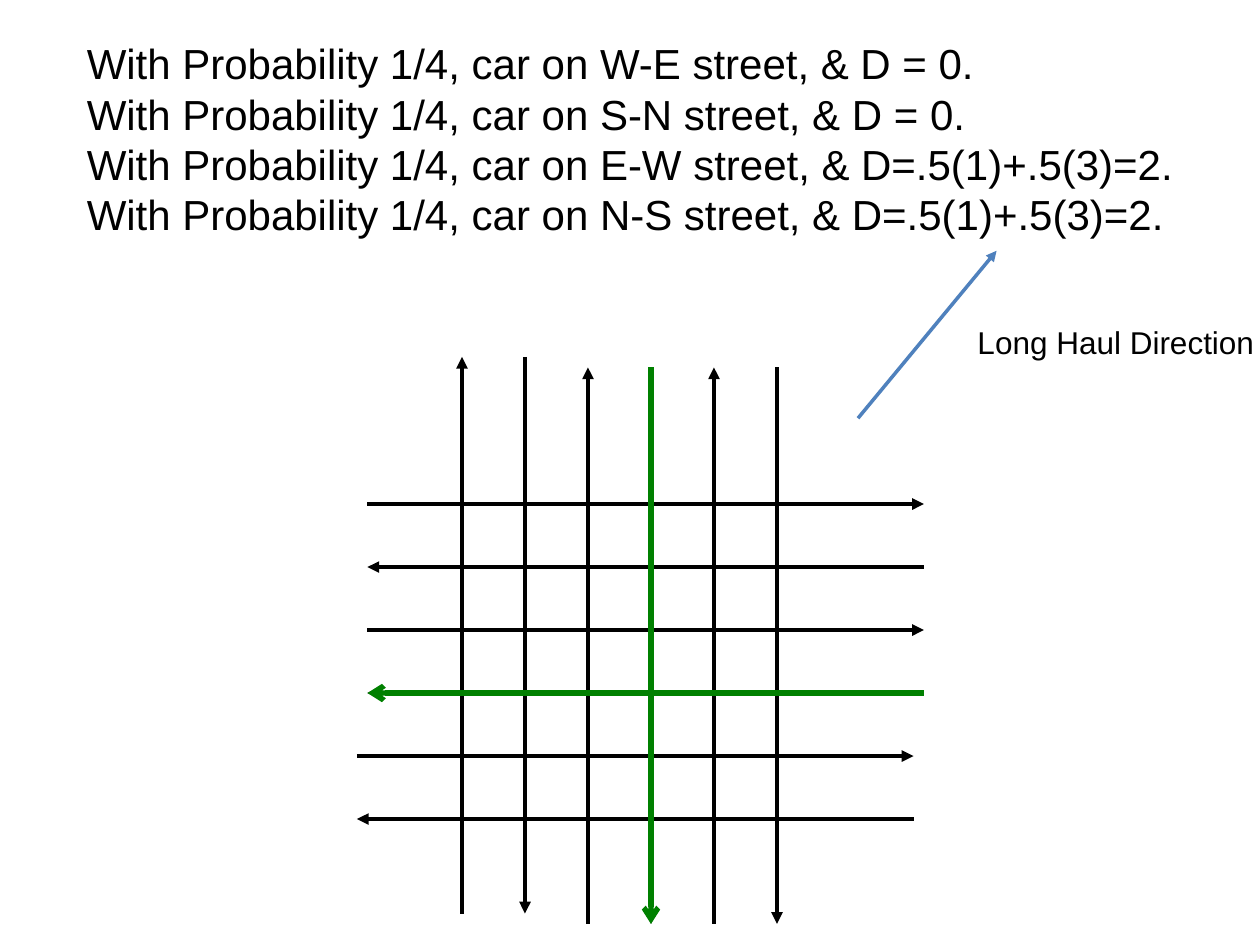
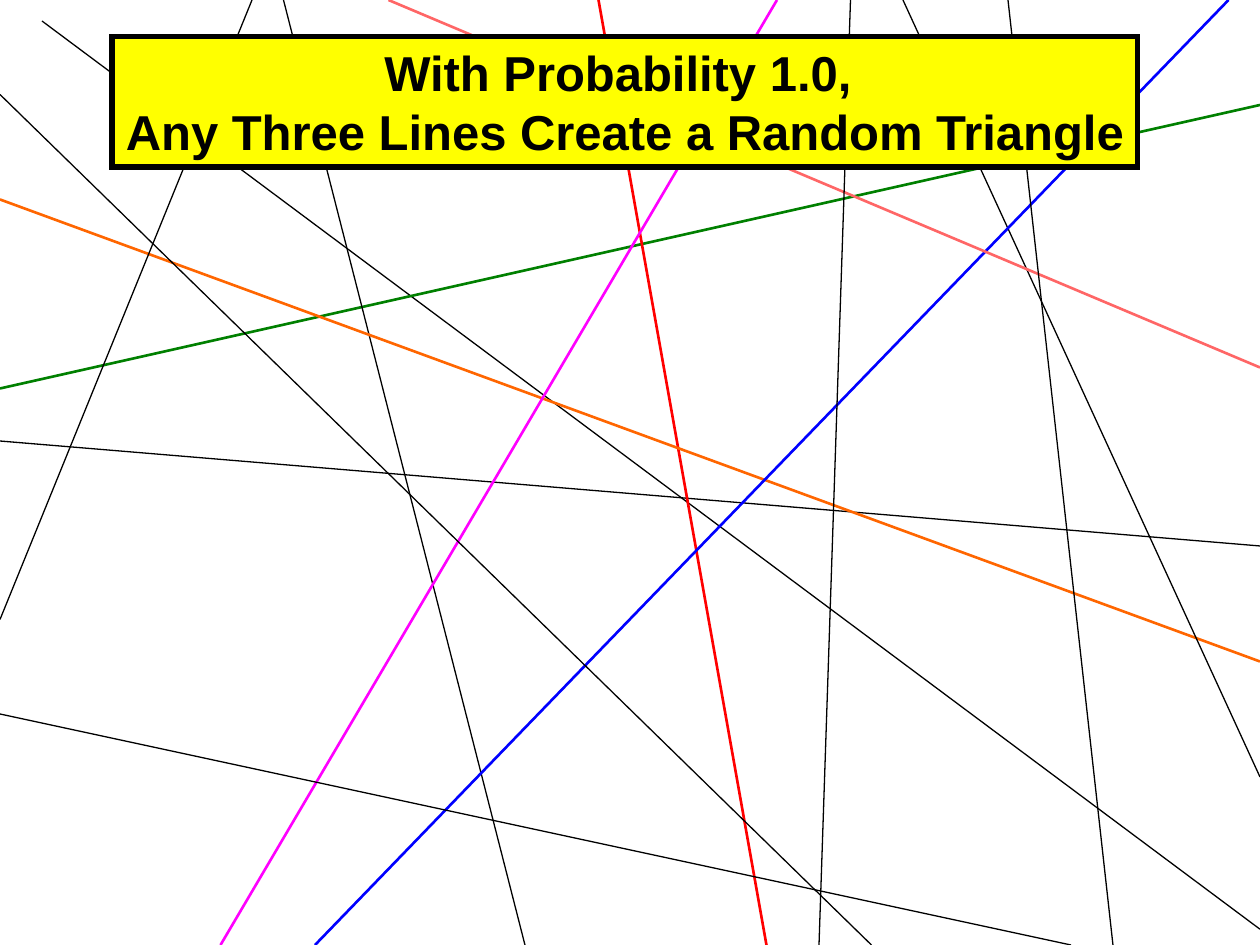
from pptx import Presentation
from pptx.dml.color import RGBColor
from pptx.enum.shapes import MSO_CONNECTOR, MSO_SHAPE
from pptx.enum.text import MSO_ANCHOR, PP_ALIGN
from pptx.oxml.ns import qn
from pptx.util import Pt
from lxml import etree

STRAIGHT = MSO_CONNECTOR.STRAIGHT
RECT = MSO_SHAPE.RECTANGLE
TOP = MSO_ANCHOR.TOP
LEFT, CENTER = PP_ALIGN.LEFT, PP_ALIGN.CENTER

FONT = "Arial"
HEX = {
    "black": "000000", "green": "008000", "steel": "4F81BD",
    "red": "FF0000", "orange": "FF6600", "blue": "0000FF",
    "pink": "FF00FF", "coral": "FF6666", "yellow": "FFFF00",
}

# Street grid
WIDE, STEP, COUNT = 318, 36, 6
COL_X, ROW_Y = 264, 288
NEAR, FAR = 204, 210

ODDS = [
    "With Probability 1/4, car on W-E street, & D = 0.",
    "With Probability 1/4, car on S-N street, & D = 0.",
    "With Probability 1/4, car on E-W street, & D=.5(1)+.5(3)=2.",
    "With Probability 1/4, car on N-S street, & D=.5(1)+.5(3)=2.",
]
TITLE = ["With Probability 1.0, ", "Any Three Lines Create a Random Triangle"]

# Random lines: start x, y, end x, y, colour
CHORDS = [
    (24, 12, 720, 531, "black"),
    (0, 222, 720, 60, "green"),
    (162, 0, 300, 540, "black"),
    (0, 252, 720, 312, "black"),
    (342, 0, 438, 540, "red"),
    (0, 114, 720, 378, "orange"),
    (516, 0, 720, 444, "black"),
    (702, 0, 180, 540, "blue"),
    (444, 0, 126, 540, "pink"),
    (0, 408, 612, 540, "black"),
    (0, 354, 144, 0, "black"),
    (720, 210, 222, 0, "coral"),
    (0, 54, 498, 540, "black"),
    (576, 0, 636, 540, "black"),
    (486, 0, 468, 540, "black"),
]


def color(name):
    return RGBColor.from_string(HEX[name])


def add_line(slide, start, end, hue, width, tip=None):
    """Draw a line, with an arrowhead at its end if tip is given."""
    line = slide.shapes.add_connector(
        STRAIGHT, *(Pt(v) for v in (*start, *end)))
    line.line.color.rgb = color(hue)
    line.line.width = Pt(width)
    props = line._element.spPr
    if tip:
        etree.SubElement(props.find(qn("a:ln")), qn("a:tailEnd"), type=tip)
    etree.SubElement(props, qn("a:effectLst"))


def fill_text(shape, lines, size, align=LEFT, bold=False):
    frame = shape.text_frame
    frame.vertical_anchor = TOP
    frame.text = "\n".join(lines)
    for par in frame.paragraphs:
        par.alignment = align
        par.line_spacing = Pt(size * 1.2)
        par.font.name = FONT
        par.font.size = Pt(size)
        par.font.bold = bold
        par.font.color.rgb = color("black")


def add_label(slide, box, lines, size):
    label = slide.shapes.add_textbox(*(Pt(v) for v in box))
    fill_text(label, lines, size)
    # The right inset is given up so that each line has room
    label.text_frame.margin_right = 0
    label.text_frame.word_wrap = True


def add_banner(slide, box, lines, size):
    banner = slide.shapes.add_shape(RECT, *(Pt(v) for v in box))
    banner.shadow.inherit = False
    banner.fill.solid()
    banner.fill.fore_color.rgb = color("yellow")
    banner.line.color.rgb = color("black")
    banner.line.width = Pt(3)
    # Square corners
    edge = banner._element.spPr.find(qn("a:ln"))
    etree.SubElement(edge, qn("a:miter"), lim="800000")
    fill_text(banner, lines, size, CENTER, True)
    banner.text_frame.word_wrap = False


def add_grid(slide):
    """Draw one-way streets whose directions alternate."""
    for i in range(COUNT):
        # The first two columns and last two rows are shifted
        x, top = COL_X + i * STEP, NEAR if i < 2 else FAR
        ends = [(x, top), (x, top + WIDE)]
        north = i % 2 == 0
        add_line(slide, *(ends[::-1] if north else ends),
                 "black", 2.25, "triangle")

        y, left = ROW_Y + i * STEP, NEAR if i >= COUNT - 2 else FAR
        ends = [(left, y), (left + WIDE, y)]
        east = i % 2 == 0
        add_line(slide, *(ends if east else ends[::-1]),
                 "black", 2.25, "triangle")


def build_streets(slide):
    add_grid(slide)
    add_label(slide, (42.5, 18, 660, 151), ODDS, 24)

    # Long haul streets
    row, col = ROW_Y + 3 * STEP, COL_X + 3 * STEP
    add_line(slide, (FAR + WIDE, row), (FAR, row), "green", 3, "arrow")
    add_line(slide, (col, FAR), (col, FAR + WIDE), "green", 3, "arrow")

    # Pointer and its label
    add_line(slide, (490.3, 239), (569.5, 143.3), "steel", 2, "triangle")
    add_label(slide, (551.5, 181, 168.5, 29), ["Long Haul Direction"], 18)


def build_lines(slide):
    for x1, y1, x2, y2, hue in CHORDS:
        width = 0.75 if hue == "black" else 1.5
        add_line(slide, (x1, y1), (x2, y2), hue, width)
    add_banner(slide, (64, 21, 586, 74.5), TITLE, 28)


def main():
    deck = Presentation()
    deck.slide_width, deck.slide_height = Pt(720), Pt(540)
    blank = deck.slide_layouts[6]
    for build in (build_streets, build_lines):
        build(deck.slides.add_slide(blank))
    deck.save("out.pptx")


if __name__ == "__main__":
    main()
